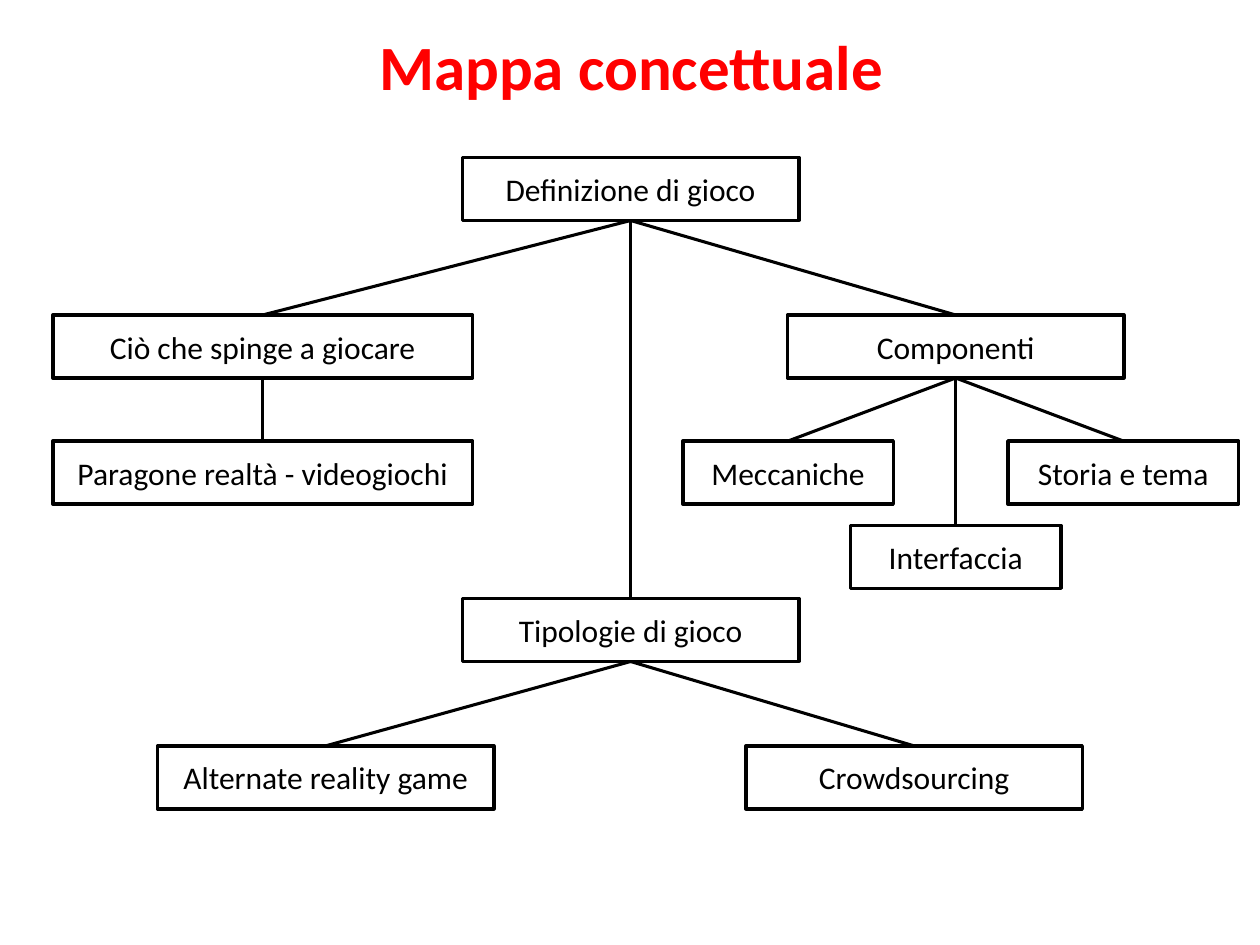
"""Build the concept map slide about the definition of a game."""
from lxml.etree import SubElement as Sub
from pptx import Presentation
from pptx.dml.color import RGBColor
from pptx.enum.shapes import MSO_CONNECTOR as Conn, MSO_SHAPE as Shape
from pptx.enum.text import MSO_ANCHOR as Anchor, MSO_AUTO_SIZE as Fit, PP_ALIGN as Align
from pptx.oxml import parse_xml
from pptx.oxml.ns import nsdecls, qn
from pptx.util import Inches, Pt

RED = RGBColor(0xFF, 0, 0)
BLACK = RGBColor(0, 0, 0)
WHITE = RGBColor(0xFF, 0xFF, 0xFF)

TITLE = "Mappa concettuale"
HIGH = 0.5
ROOT, TYPES, PARTS = "Definizione di gioco", "Tipologie di gioco", "Componenti"
DRIVE, REAL = "Ciò che spinge a giocare", "Paragone realtà - videogiochi"
ARG, CROWD = "Alternate reality game", "Crowdsourcing"
RULES, STORY, FACE = "Meccaniche", "Storia e tema", "Interfaccia"

NODES = [
    (ROOT, 3.67, 1.25, 2.67),
    (DRIVE, 0.42, 2.5, 3.33),
    (REAL, 0.42, 3.5, 3.33),
    (TYPES, 3.67, 4.75, 2.67),
    (ARG, 1.25, 5.92, 2.67),
    (CROWD, 5.92, 5.92, 2.67),
    (PARTS, 6.25, 2.5, 2.67),
    (RULES, 5.42, 3.5, 1.67),
    (STORY, 8, 3.5, 1.83),
    (FACE, 6.75, 4.17, 1.67),
]
TREE = {
    ROOT: [TYPES, DRIVE, PARTS],
    DRIVE: [REAL],
    PARTS: [RULES, FACE, STORY],
    TYPES: [ARG, CROWD],
}
HEAD = {"name": "Calibri", "size": Pt(36), "bold": True}
BODY = {"name": "Calibri", "size": Pt(18)}
EDGE = ('<a:ln %s w="9525"><a:solidFill><a:srgbClr val="000000"/>'
        '</a:solidFill></a:ln>' % nsdecls("a"))


def write(shape, text, style, color):
    para = shape.text_frame.paragraphs[0]
    para.alignment = Align.CENTER
    run = para.add_run()
    run.text = text
    for key, value in style.items():
        setattr(run.font, key, value)
    run.font.color.rgb = color
    return run


def stroke(line, width):
    line.color.rgb = BLACK
    line.width = Pt(width)


def add_node(slide, text, left, top, width):
    box = slide.shapes.add_shape(
        Shape.RECTANGLE, *map(Inches, (left, top, width, HIGH)))
    box.shadow.inherit = False
    box.fill.solid()
    box.fill.fore_color.rgb = WHITE
    stroke(box.line, 2)
    box.text_frame.vertical_anchor = Anchor.MIDDLE
    run = write(box, text, BODY, BLACK)
    run.font._element.insert(0, parse_xml(EDGE))
    return box


def add_link(slide, start, end):
    link = slide.shapes.add_connector(Conn.STRAIGHT, 0, 0, 0, 0)
    link.begin_connect(start, 2)
    link.end_connect(end, 0)
    stroke(link.line, 1.75)
    Sub(link._element.spPr, qn("a:effectLst"))


def main():
    deck = Presentation()
    deck.slide_width, deck.slide_height = Inches(10), Inches(7.5)
    slide = deck.slides.add_slide(deck.slide_layouts[6])
    title = slide.shapes.add_textbox(*map(Inches, (2.88, 0.17, 4.26, 0.71)))
    title.text_frame.word_wrap = False
    title.text_frame.auto_size = Fit.SHAPE_TO_FIT_TEXT
    write(title, TITLE, HEAD, RED)
    boxes = {node[0]: add_node(slide, *node) for node in NODES}
    for top, kids in TREE.items():
        for kid in kids:
            add_link(slide, boxes[top], boxes[kid])
    deck.save("out.pptx")


if __name__ == "__main__":
    main()
